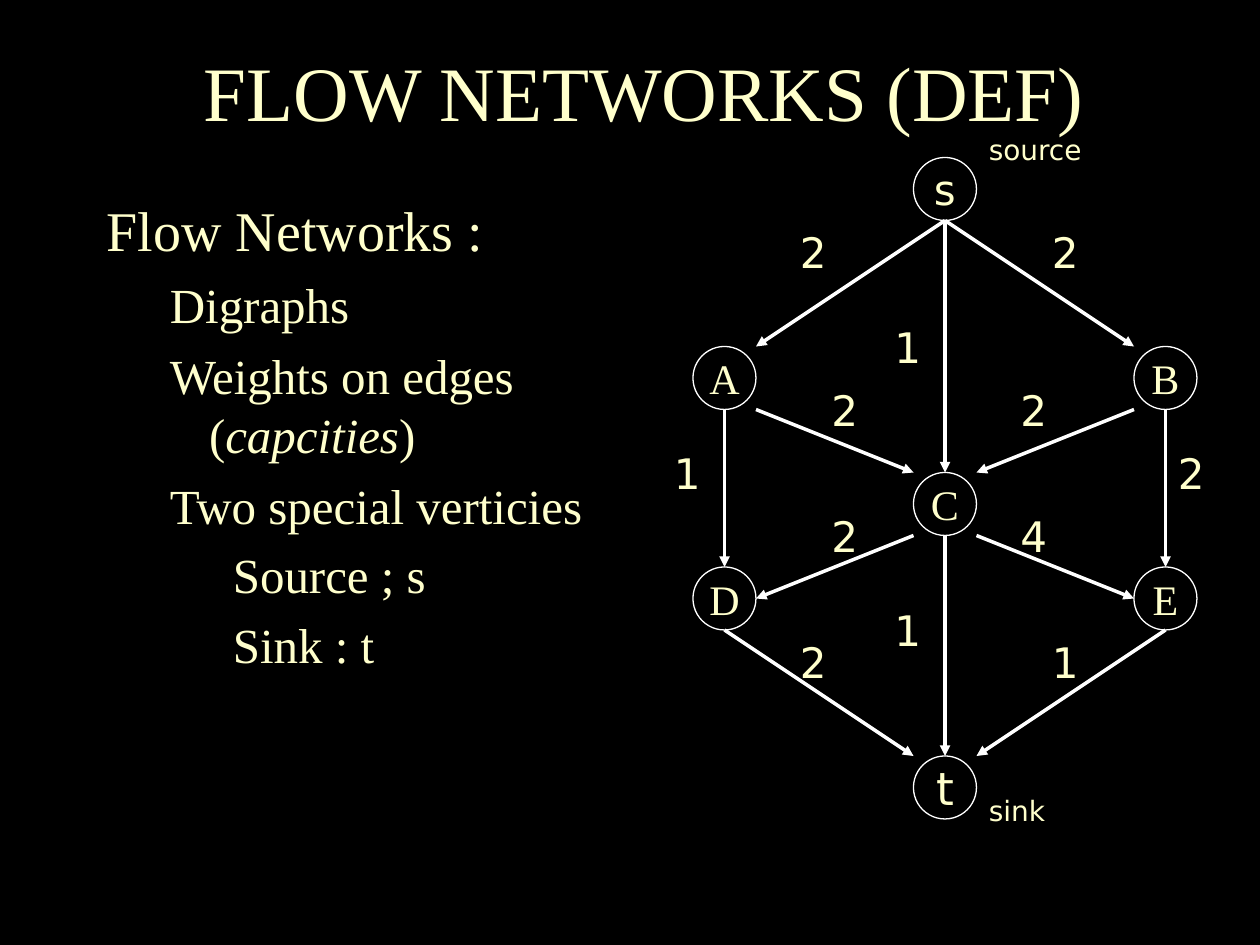
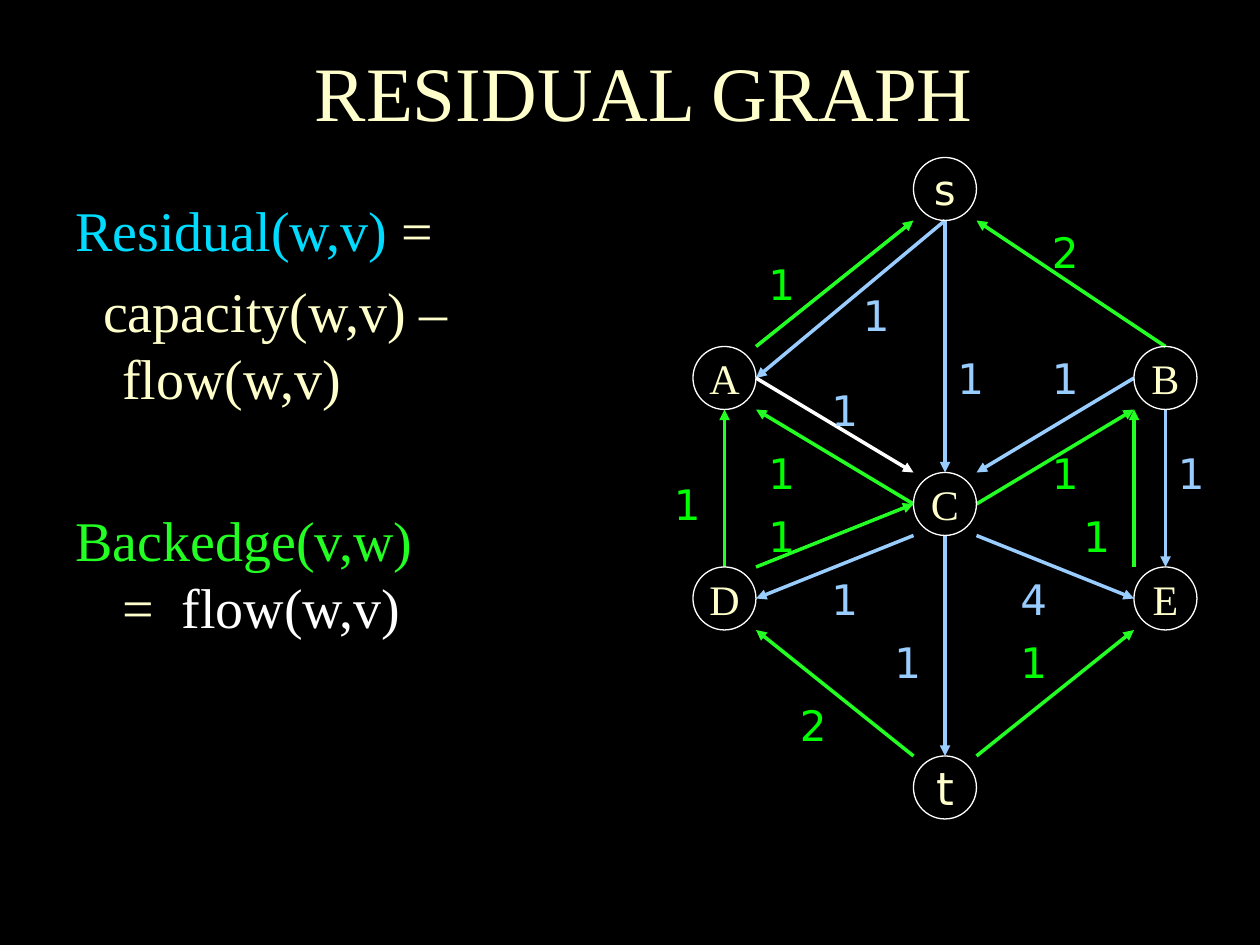
from lxml import etree
from pptx import Presentation, util as u
from pptx.dml.color import RGBColor
from pptx.enum import shapes, text
from pptx.oxml.ns import qn

BLACK = RGBColor(0x00, 0x00, 0x00)
WHITE = RGBColor(0xFF, 0xFF, 0xFF)
CREAM = RGBColor(0xFF, 0xFF, 0xCC)
CYAN = RGBColor(0x00, 0xDC, 0xFF)
BLUE = RGBColor(0x99, 0xCC, 0xFF)
GREEN = RGBColor(0x23, 0xFF, 0x23)
LIME = RGBColor(0x00, 0xFF, 0x00)
SERIF, SANS = "Times New Roman", "DejaVu Sans"
CELL = u.Cm(2.54 / 4)  # grid step of the graph

# Nodes: left and top in cells, font, size; each is two cells wide
NODES = {
    "s": (29, 5, SANS, 24), "A": (22, 11, SERIF, 24),
    "B": (36, 11, SERIF, 24), "C": (29, 15, SERIF, 24),
    "D": (22, 18, SERIF, 24), "E": (36, 18, SERIF, 24),
    "t": (29, 24, SANS, 26),
}
# Compass points on a node's bounding square, in cells
PORTS = {"nw": (0, 0), "n": (1, 0), "ne": (2, 0), "e": (2, 1),
         "se": (2, 2), "s": (1, 2), "sw": (0, 2), "w": (0, 1)}


def write(frame, runs, font=SERIF, size=24, color=CREAM, align=None,
          left=0, first=0, before=0, lead=None, wrap=True, more=False):
    """Write one paragraph; runs are (words, colour, italic), None breaks the line."""
    frame.word_wrap = wrap
    par = frame.add_paragraph() if more else frame.paragraphs[0]
    par.alignment = align
    par.space_before = u.Pt(before)
    if lead:
        par.line_spacing = u.Pt(lead)
    props = par._p.get_or_add_pPr()
    props.set("marL", str(u.Cm(left)))
    props.set("indent", str(u.Cm(first)))
    for run in [(runs, color, False)] if isinstance(runs, str) else runs:
        if run is None:
            par.add_line_break()
            continue
        part = par.add_run()
        part.text, part.font.color.rgb, part.font.italic = run
        part.font.name = font
        part.font.size = u.Pt(size)


# Body paragraphs: runs, size, left margin, first-line indent, space before
TOP = dict(size=32, left=0.94, first=-0.94, before=8)
SUB = dict(size=28, left=2.06, first=-0.79, before=7)
LOW = dict(size=28, left=3.18, first=-0.64, before=6)

PAGES = [
    dict(
        title="FLOW NETWORKS (DEF)", left=3,
        body=[
            ("Flow Networks :", TOP),
            ("Digraphs", SUB),
            ([("Weights on edges (", CREAM, False), ("capcities", CREAM, True),
              (")", CREAM, False)], SUB),
            ("Two special verticies", SUB),
            ("Source ; s", LOW),
            ("Sink : t", LOW),
        ],
        edges=[(WHITE, "A.s D.n, D.s t.nw, s.s A.ne, E.s t.ne, s.s B.nw, B.sw C.ne, "
                       "B.s E.n, A.se C.nw, C.se E.w, C.sw D.e, s.s C.n, C.s t.n")],
        marks=[(CREAM, [("2", 25, 7), ("2", 33, 7), ("2", 26, 12), ("2", 32, 12),
                        ("2", 26, 16), ("4", 32, 16), ("2", 25, 20), ("1", 33, 20),
                        ("2", 37, 14), ("1", 21, 14), ("1", 28, 19), ("1", 28, 10)])],
        names=[("source", 31, 4), ("sink", 31, 25)],
    ),
    dict(
        title="RESIDUAL GRAPH", left=2,
        body=[
            ([("Residual(w,v)", CYAN, False), (" =", CREAM, False)], TOP),
            ("capacity(w,v) – flow(w,v)", {**TOP, "first": -0.38}),
            ([("Backedge(v,w)", GREEN, False), None, ("= ", CREAM, False),
              (" flow(w,v)", WHITE, False)], {**TOP, "before": 54}),
        ],
        edges=[(BLUE, "s.s A.e, B.w C.ne, B.s E.n, C.se E.w, C.sw D.e, s.s C.n, C.s t.n"),
               (WHITE, "A.e C.nw"),
               (GREEN, "A.ne s.sw, B.n s.se, C.e B.sw, D.ne C.w, t.nw D.se, "
                       "t.ne E.sw, E.nw B.sw, D.n A.s, C.w A.se")],
        marks=[(BLUE, [("1", 27, 9), ("1", 26, 18), ("1", 26, 12), ("1", 30, 11),
                       ("1", 37, 14), ("1", 28, 20), ("4", 32, 18), ("1", 33, 11)]),
               (LIME, [("1", 24, 8), ("2", 33, 7), ("1", 24, 16), ("1", 24, 14),
                       ("1", 34, 16), ("2", 25, 22), ("1", 32, 20), ("1", 33, 14),
                       ("1", 21, 15)])],
        names=[],
    ),
]

deck = Presentation()
deck.slide_width, deck.slide_height = u.Cm(25.4), u.Cm(19.05)

for page in PAGES:
    slide = deck.slides.add_slide(deck.slide_layouts[6])
    slide.background.fill.solid()
    slide.background.fill.fore_color.rgb = BLACK
    draw = slide.shapes

    # Title
    frame = draw.add_textbox(u.Cm(0.64), u.Cm(0.84), u.Cm(24.69), u.Cm(1.98)).text_frame
    frame.vertical_anchor = text.MSO_ANCHOR.MIDDLE
    write(frame, page["title"], size=44, align=text.PP_ALIGN.CENTER)

    # Body, up to the column where the graph begins
    frame = draw.add_textbox(page["left"] * CELL, 6 * CELL,
                             (21 - page["left"]) * CELL, u.Cm(14.53)).text_frame
    for row, (runs, style) in enumerate(page["body"]):
        style = {**style, "before": style["before"] if row else 0}
        write(frame, runs, lead=1.2 * style["size"], more=row > 0, **style)

    # Edges
    for color, pairs in page["edges"]:
        for pair in pairs.split(", "):
            ends = []
            for end in pair.split():
                node, port = end.split(".")
                ends += [(a + b) * CELL for a, b in zip(NODES[node][:2], PORTS[port])]
            edge = draw.add_connector(shapes.MSO_CONNECTOR.STRAIGHT, *ends)
            edge.line.color.rgb = color
            edge.line.width = 0
            etree.SubElement(edge.line._get_or_add_ln(), qn("a:tailEnd"), type="triangle")
            etree.SubElement(edge._element.spPr, qn("a:effectLst"))

    # Nodes
    for name, (x, y, font, size) in NODES.items():
        node = draw.add_shape(shapes.MSO_SHAPE.OVAL, x * CELL, y * CELL, 2 * CELL, 2 * CELL)
        node.shadow.inherit = False
        node.fill.background()
        node.line.color.rgb = WHITE
        node.line.width = 0
        node.text_frame.vertical_anchor = text.MSO_ANCHOR.MIDDLE
        write(node.text_frame, name, font=font, size=size,
              align=text.PP_ALIGN.CENTER, wrap=False)

    # Edge values
    for color, marks in page["marks"]:
        for value, x, y in marks:
            box = draw.add_textbox(x * CELL, y * CELL, 2 * CELL, 2 * CELL)
            write(box.text_frame, value, font=SANS, color=color)

    # Names of the end nodes
    for name, x, y in page["names"]:
        box = draw.add_textbox(x * CELL, y * CELL, 4 * CELL, 2 * CELL)
        write(box.text_frame, name, font=SANS, size=16)

deck.save("out.pptx")
